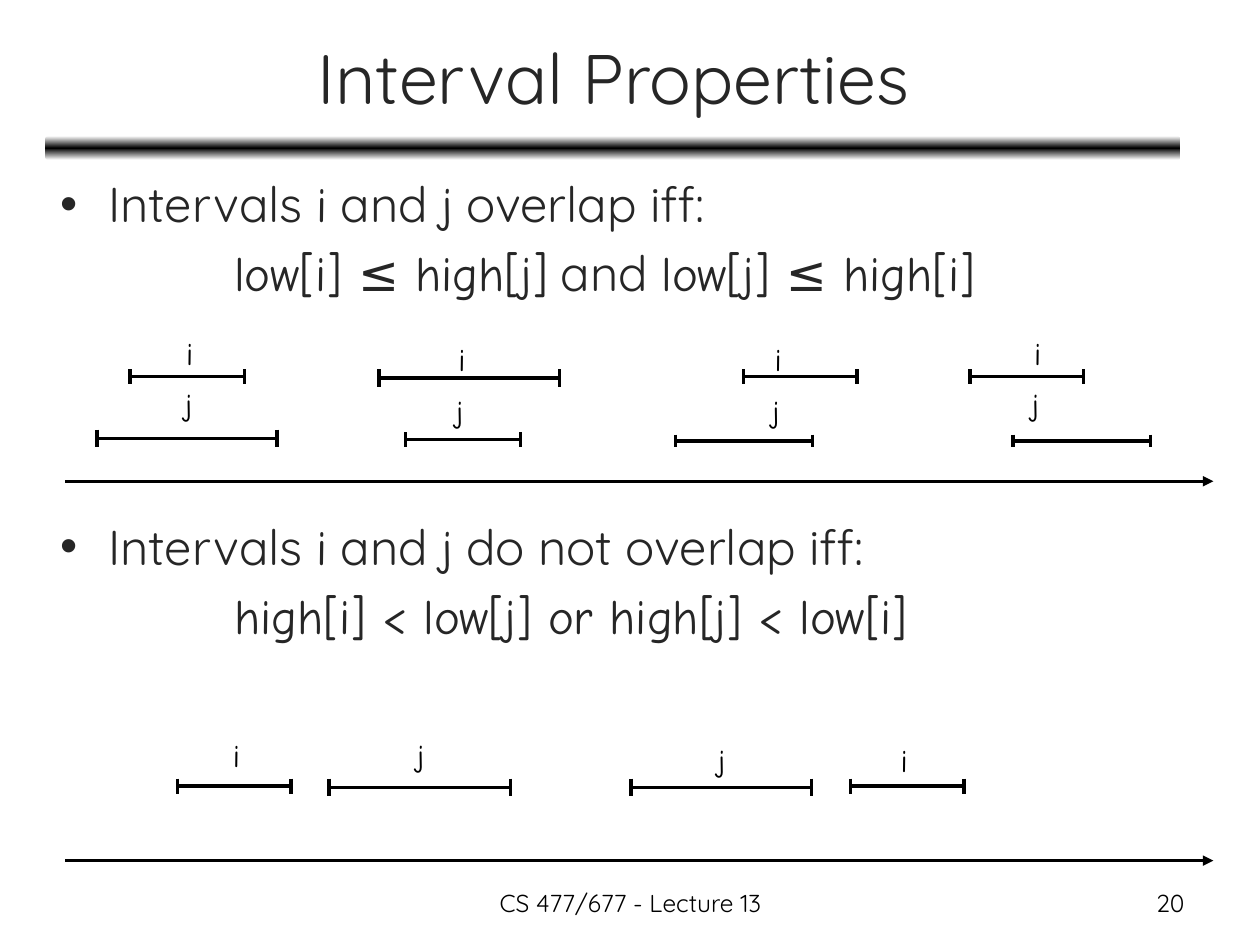
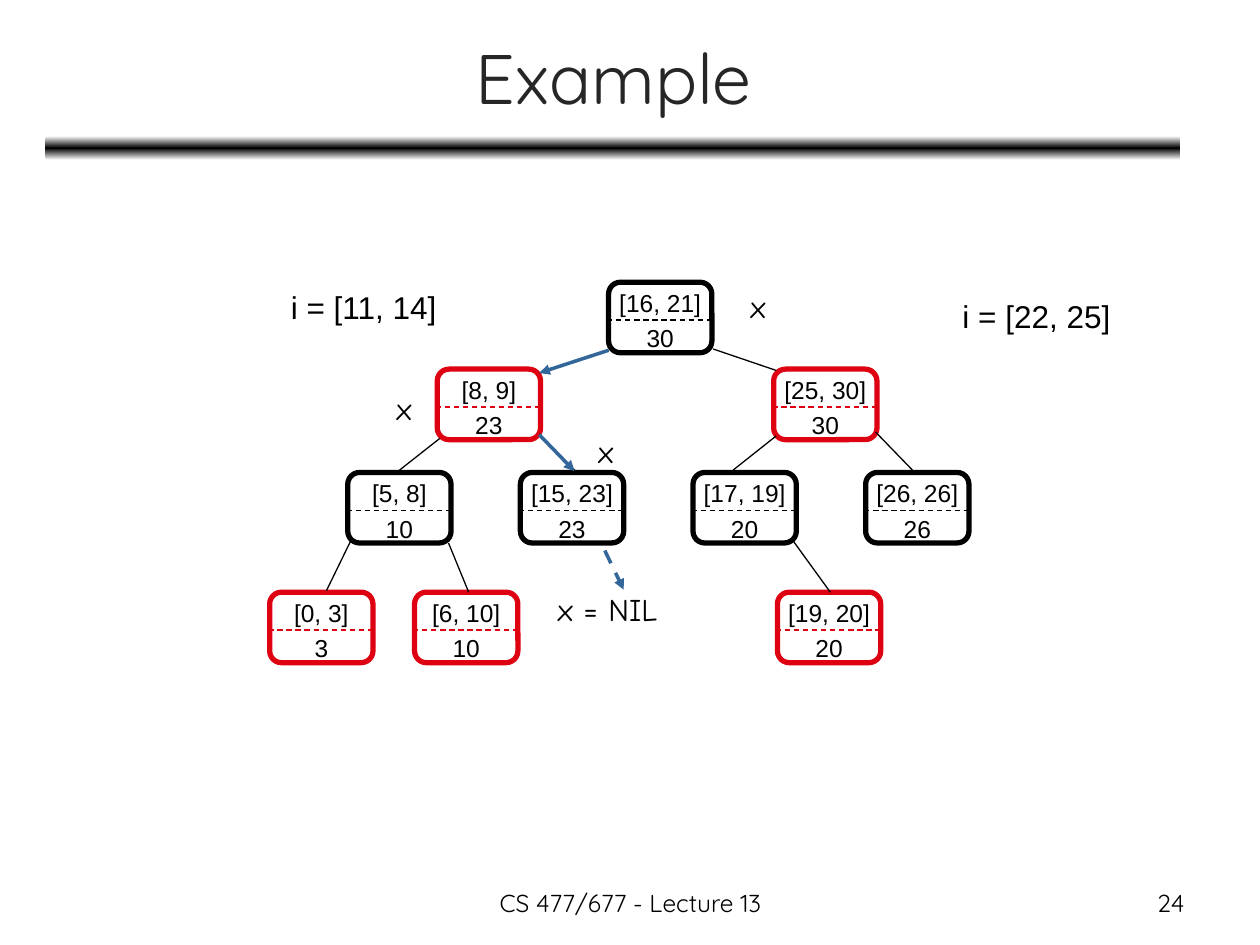
import copy

import lxml.etree
import pptx
import pptx.dml.color
import pptx.enum.dml
import pptx.enum.shapes
import pptx.enum.text
import pptx.oxml.ns
import pptx.util

Inches = pptx.util.Inches
Pt = pptx.util.Pt
qn = pptx.oxml.ns.qn
Align = pptx.enum.text.PP_ALIGN
Anchor = pptx.enum.text.MSO_ANCHOR
Shape = pptx.enum.shapes.MSO_SHAPE

COLORS = {
    "white": "FFFFFF",
    "black": "000000",
    "ink": "262626",
    "red": "DD0111",
    "blue": "336699",
}
SANS, HAND, ARIAL = "Quicksand", "Comic Neue", "Arial"


def paint(name):
    return pptx.dml.color.RGBColor.from_string(COLORS[name])


def add_xml(parent, tag, **attrs):
    lxml.etree.SubElement(parent, qn(tag), attrs)


class Deck:
    def __init__(self):
        self.prs = pptx.Presentation()
        self.prs.slide_width = Inches(10)
        self.prs.slide_height = Inches(7.5)
        self.slide = None

    def page(self, title, number):
        self.slide = self.prs.slides.add_slide(self.prs.slide_layouts[6])
        self.band()
        frame = self.box(0.37, 0.11, 9, 0.99)
        frame.vertical_anchor = Anchor.MIDDLE
        self.runs(frame.paragraphs[0], [(title, SANS)], 40, "ink", Align.CENTER)
        for x, width, text, align in (
            (3.42, 3.17, "CS 477/677 - Lecture 13", Align.CENTER),
            (7.17, 2.33, str(number), Align.RIGHT),
        ):
            frame = self.box(x, 7, width, 0.35)
            self.runs(frame.paragraphs[0], [(text, SANS)], 14, align=align)

    def shape(self, x, y, width, height):
        shape = self.slide.shapes.add_shape(
            Shape.ROUNDED_RECTANGLE,
            Inches(x), Inches(y), Inches(width), Inches(height))
        shape.shadow.inherit = False
        return shape

    def band(self):
        shape = self.shape(0.36, 1.08, 9.01, 0.19)
        shape.line.fill.background()
        fill = shape.fill
        fill.gradient()
        fill.gradient_angle = 90
        first = shape._element.spPr.find(".//" + qn("a:gs"))
        first.addnext(copy.deepcopy(first))
        stops = zip(fill.gradient_stops, (0, 0.5, 1), ("white", "black", "white"))
        for stop, place, color in stops:
            stop.position = place
            stop.color.rgb = paint(color)

    def box(self, x, y, width, height):
        shape = self.slide.shapes.add_textbox(
            Inches(x), Inches(y), Inches(width), Inches(height))
        shape.text_frame.word_wrap = True
        return shape.text_frame

    def runs(self, para, parts, size, color="black", align=Align.LEFT):
        para.alignment = align
        for text, font in parts:
            run = para.add_run()
            run.text = text
            run.font.name = font
            run.font.size = Pt(size)
            run.font.color.rgb = paint(color)

    def label(self, text, x, y, width, font=HAND):
        frame = self.box(x, y, width, 0.4)
        frame.word_wrap = False
        frame.auto_size = pptx.enum.text.MSO_AUTO_SIZE.SHAPE_TO_FIT_TEXT
        self.runs(frame.paragraphs[0], [(text, font)], 18)

    def rule(self, y, head, formula):
        frame = self.box(0.38, y, 9, 1.3)
        para = frame.paragraphs[0]
        props = para._p.get_or_add_pPr()
        props.set("marL", str(Inches(0.38)))
        props.set("indent", str(Inches(-0.38)))
        add_xml(props, "a:buFont", typeface=ARIAL)
        add_xml(props, "a:buChar", char="•")
        self.runs(para, head, 28, "ink")
        para = frame.add_paragraph()
        para._p.get_or_add_pPr().set("marL", str(Inches(1.38)))
        para.space_before = Pt(5.6)
        self.runs(para, formula, 28, "ink")

    def line(self, x1, y1, x2, y2, color="black", width=2, dash=False, arrow=False):
        link = self.slide.shapes.add_connector(
            pptx.enum.shapes.MSO_CONNECTOR.STRAIGHT,
            Inches(x1), Inches(y1), Inches(x2), Inches(y2))
        link.line.color.rgb = paint(color)
        link.line.width = Pt(width)
        if dash:
            link.line.dash_style = pptx.enum.dml.MSO_LINE.DASH
        props = link._element.spPr
        if arrow:
            add_xml(props.find(qn("a:ln")), "a:tailEnd", type="triangle")
        add_xml(props, "a:effectLst")

    def span(self, left, right, y, half):
        self.line(left, y, right, y)
        for x in (left, right):
            self.line(x, y - half, x, y + half)

    def node(self, x, y, span, high, color):
        shape = self.shape(x, y, 0.82, 0.56)
        shape.fill.background()
        shape.line.color.rgb = paint(color)
        shape.line.width = Pt(3)
        frame = shape.text_frame
        frame.word_wrap = False
        frame.vertical_anchor = Anchor.MIDDLE
        frame.margin_top = frame.margin_bottom = 0
        for para, text in (
            (frame.paragraphs[0], span),
            (frame.add_paragraph(), str(high)),
        ):
            para.line_spacing = 1.2
            self.runs(para, [(text, ARIAL)], 14, align=Align.CENTER)
        self.line(x - 0.01, y + 0.3, x + 0.83, y + 0.3, color, 0.75, dash=True)


def draw_rules(deck):
    deck.page("Interval Properties", 20)
    start = [("Intervals ", SANS), ("i", HAND), (" and ", SANS), ("j", HAND)]
    deck.rule(1.33, start + [(" overlap iff:", SANS)], [
        ("low[i] ≤ high[j]", HAND), (" and ", SANS), ("low[j] ≤ high[i]", HAND)])
    deck.rule(4.05, start + [(" do not overlap iff:", SANS)], [
        ("high[i] < low[j] or high[j] < low[i]", HAND)])
    spans = (
        (1.03, 1.94, 2.99, 0.06, "i", 1.38, 2.6),
        (0.77, 2.2, 3.48, 0.07, "j", 1.37, 3.01),
        (3.01, 4.44, 3, 0.07, "i", 3.54, 2.65),
        (3.22, 4.13, 3.49, 0.06, "j", 3.52, 3.06),
        (5.9, 6.8, 2.99, 0.06, "i", 6.05, 2.65),
        (5.36, 6.45, 3.5, 0.05, "j", 6.03, 3.06),
        (7.7, 8.6, 2.99, 0.06, "i", 8.11, 2.6),
        (8.04, 9.13, 3.5, 0.05, "j", 8.09, 3.01),
        (1.41, 2.31, 6.24, 0.06, "i", 1.75, 5.79),
        (2.61, 4.05, 6.25, 0.07, "j", 3.21, 5.79),
        (5.01, 6.44, 6.25, 0.07, "j", 5.6, 5.83),
        (6.75, 7.65, 6.24, 0.06, "i", 7.05, 5.83),
    )
    widths = {"i": 0.27, "j": 0.3}
    for left, right, y, half, name, x, top in spans:
        deck.span(left, right, y, half)
        deck.label(name, x, top, widths[name])
    for y in (3.82, 6.83):
        deck.line(0.52, y, 9.63, y, arrow=True)


def draw_tree(deck):
    deck.page("Example", 24)
    levels = (
        (2.24, "black", ((4.83, "[16, 21]", 30),)),
        (2.93, "red", ((3.47, "[8, 9]", 23), (6.14, "[25, 30]", 30))),
        (3.75, "black", ((2.76, "[5, 8]", 10), (4.13, "[15, 23]", 23),
                         (5.5, "[17, 19]", 20), (6.87, "[26, 26]", 26))),
        (4.7, "red", ((2.14, "[0, 3]", 3), (3.29, "[6, 10]", 10),
                      (6.17, "[19, 20]", 20))),
    )
    for y, color, nodes in levels:
        for x, span, high in nodes:
            deck.node(x, y, span, high, color)
    edges = (
        (4.83, 2.78, 4.29, 2.96), (5.66, 2.77, 6.16, 2.94),
        (3.49, 3.48, 3.16, 3.74), (4.28, 3.45, 4.59, 3.76),
        (6.16, 3.46, 5.82, 3.73), (6.95, 3.43, 7.25, 3.74),
        (2.78, 4.3, 2.59, 4.69), (3.56, 4.31, 3.72, 4.7),
        (6.3, 4.3, 6.59, 4.7),
    )
    for edge in edges:
        deck.line(*edge, width=0.75)
    steps = (
        (4.83, 2.78, 4.28, 2.96, False),
        (4.28, 3.45, 4.56, 3.74, False),
        (4.8, 4.37, 4.95, 4.68, True),
    )
    for *ends, dash in steps:
        deck.line(*ends, color="blue", dash=dash, arrow=True)
    for x, y in ((5.86, 2.23), (3.05, 3.04), (4.65, 3.38)):
        deck.label("x", x, y, 0.35)
    deck.label("x = NIL", 4.33, 4.63, 1.1)
    deck.label("i = [11, 14]", 2.21, 2.24, 1.38, ARIAL)
    deck.label("i = [22, 25]", 7.54, 2.31, 1.38, ARIAL)


def main():
    deck = Deck()
    draw_rules(deck)
    draw_tree(deck)
    deck.prs.save("out.pptx")


if __name__ == "__main__":
    main()
